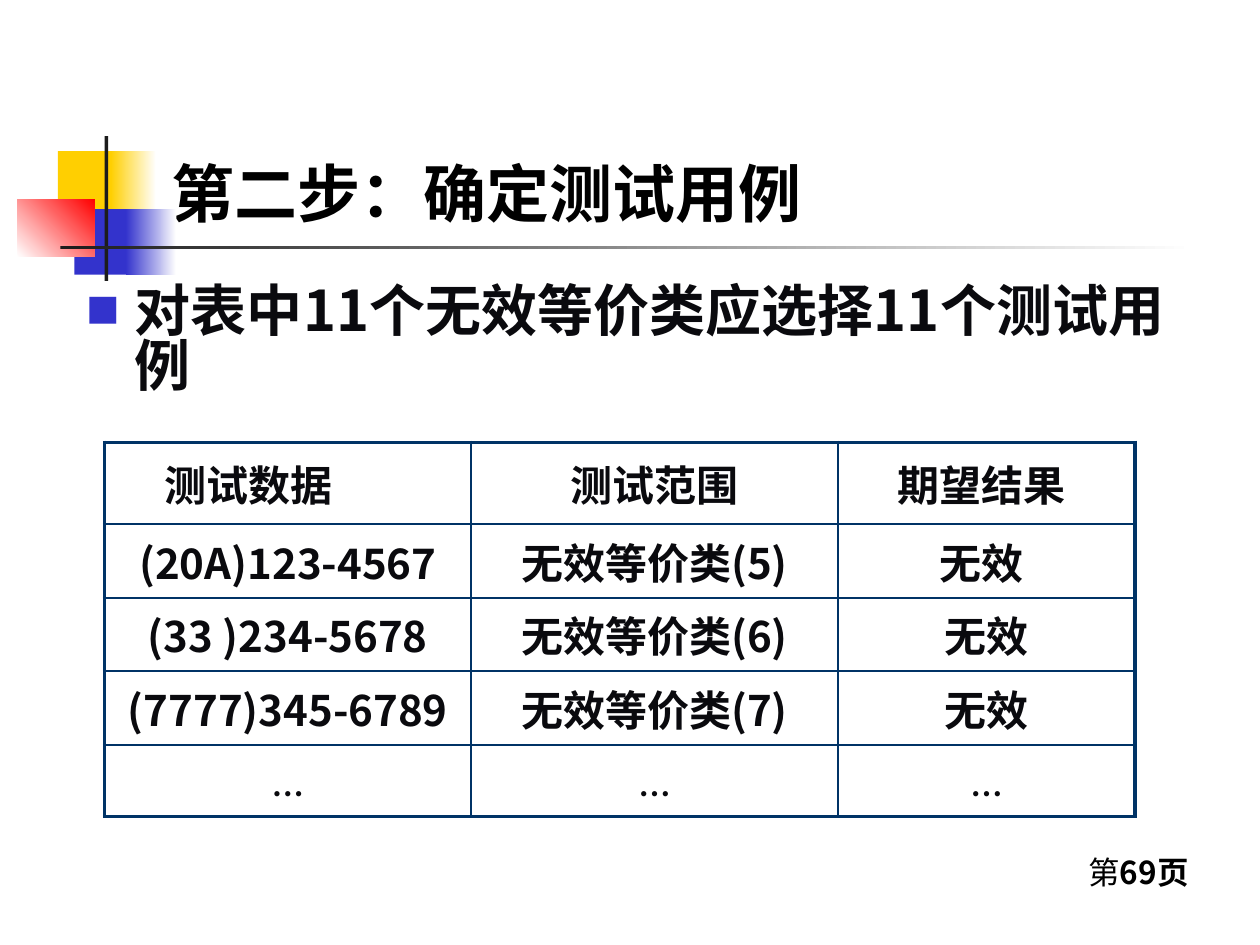
"""Build the slide on choosing test cases for the invalid equivalence classes."""
from dataclasses import dataclass
from typing import Optional

from lxml.etree import SubElement
from pptx import Presentation
from pptx.dml.color import RGBColor
from pptx.enum.shapes import MSO_SHAPE
from pptx.enum.text import MSO_ANCHOR, MSO_AUTO_SIZE, PP_ALIGN
from pptx.oxml.ns import qn
from pptx.util import Inches, Pt

COLORS = {
    "yellow": "FFCF01",
    "blue": "3333CC",
    "red": "FF0000",
    "white": "FFFFFF",
    "dark": "1C1C1C",
    "black": "000000",
    "ink": "0A0A0E",
    "navy": "003366",
}
MAIN_FONT = "Noto Sans CJK SC"
ELLIPSIS_FONT = "Lato"
ELLIPSIS = "…"
TIGHT_SPACING = 0.82
THIN, THICK = 1.5, 2.25


@dataclass
class Block:
    """A rectangle of the corner ornament, solid or fading to a second colour."""
    left: float
    top: float
    width: float
    height: float
    color: str
    fade_to: Optional[str] = None
    angle: float = 0


ORNAMENT = [
    Block(0.46, 1.2, 0.48, 0.52, "yellow"),
    Block(0.88, 1.2, 0.36, 0.52, "yellow", "white"),
    Block(0.59, 1.66, 0.46, 0.52, "blue"),
    Block(1, 1.66, 0.4, 0.52, "blue", "white"),
    Block(0.14, 1.58, 0.61, 0.46, "white", "red", 45),
    Block(0.83, 1.08, 0.03, 1.15, "dark"),
    Block(0.48, 1.95, 9, 0.03, "dark", "white"),
]
COLUMN_WIDTHS = [2.91, 2.91, 2.36]
ROW_HEIGHTS = [0.65] + [0.57] * 4
TEST_CASES = [
    ["测试数据", "测试范围", "期望结果 "],
    ["(20A)123-4567", "无效等价类(5)", "无效 "],
    ["(33 )234-5678", "无效等价类(6)", "无效"],
    ["(7777)345-6789", "无效等价类(7)", "无效"],
    [ELLIPSIS] * 3,
]


def rgb(name: str) -> RGBColor:
    """Look up a palette colour."""
    return RGBColor.from_string(COLORS[name])


def place(shape, left: float, top: float, width: float, height: float) -> None:
    """Set position and size in inches."""
    shape.left, shape.top = Inches(left), Inches(top)
    shape.width, shape.height = Inches(width), Inches(height)


def format_paragraph(paragraph, size: float, color: str, bold: Optional[bool],
                     font_name: str = MAIN_FONT) -> None:
    """Set one font for Latin and East Asian text of a paragraph."""
    font = paragraph.font
    font.size, font.bold, font.name = Pt(size), bold, font_name
    font.color.rgb = rgb(color)
    properties = paragraph._p.pPr.find(qn("a:defRPr"))
    SubElement(properties, qn("a:ea"), typeface=font_name)


def add_block(slide, block: Block) -> None:
    """Draw one ornament rectangle."""
    shape = slide.shapes.add_shape(
        MSO_SHAPE.RECTANGLE, Inches(block.left), Inches(block.top),
        Inches(block.width), Inches(block.height))
    shape.shadow.inherit = False
    shape.line.fill.background()
    if block.fade_to is None:
        shape.fill.solid()
        shape.fill.fore_color.rgb = rgb(block.color)
        return
    shape.fill.gradient()
    shape.fill.gradient_angle = block.angle
    for stop, color in zip(shape.fill.gradient_stops, (block.color, block.fade_to)):
        stop.color.rgb = rgb(color)


def fill_title(title) -> None:
    """Write the title."""
    place(title, 1.26, 0.23, 8.52, 1.6)
    frame = title.text_frame
    frame.text = "第二步：确定测试用例"
    frame.vertical_anchor = MSO_ANCHOR.BOTTOM
    frame.auto_size = MSO_AUTO_SIZE.NONE
    frame.margin_bottom = 0
    frame.paragraphs[0].alignment = PP_ALIGN.LEFT
    format_paragraph(frame.paragraphs[0], 36, "black", True)


def fill_body(body) -> None:
    """Write the bulleted statement."""
    place(body, 0.59, 2.18, 8.97, 4.5)
    frame = body.text_frame
    frame.text = "对表中11个无效等价类应选择11个测试用例"
    frame.auto_size = MSO_AUTO_SIZE.NONE
    frame.margin_top = Inches(0.1)
    paragraph = frame.paragraphs[0]
    properties = paragraph._p.get_or_add_pPr()
    properties.set("marL", str(Inches(0.38)))
    properties.set("indent", str(-Inches(0.38)))
    bullet_color = SubElement(properties, qn("a:buClr"))
    SubElement(bullet_color, qn("a:srgbClr"), val=COLORS["blue"])
    SubElement(properties, qn("a:buSzPct"), val="60000")
    SubElement(properties, qn("a:buFont"), typeface=MAIN_FONT)
    SubElement(properties, qn("a:buChar"), char="■")
    paragraph.space_before = Pt(0)
    paragraph.line_spacing = TIGHT_SPACING
    format_paragraph(paragraph, 32, "ink", True)


def add_borders(cell, widths: dict[str, float]) -> None:
    """Draw the borders of a cell, keyed by side in schema order."""
    properties = cell._tc.get_or_add_tcPr()
    for side, width in widths.items():
        line = SubElement(properties, qn(f"a:ln{side}"), w=str(Pt(width)))
        fill = SubElement(line, qn("a:solidFill"))
        SubElement(fill, qn("a:srgbClr"), val=COLORS["navy"])


def add_test_table(slide) -> None:
    """Draw the test case table with a thicker outer frame."""
    last_row, last_column = len(ROW_HEIGHTS) - 1, len(COLUMN_WIDTHS) - 1
    table = slide.shapes.add_table(
        len(ROW_HEIGHTS), len(COLUMN_WIDTHS), Inches(0.83), Inches(3.51),
        Inches(sum(COLUMN_WIDTHS)), Inches(sum(ROW_HEIGHTS))).table
    table.first_row = table.horz_banding = False
    for column, width in zip(table.columns, COLUMN_WIDTHS):
        column.width = Inches(width)
    for row, height in zip(table.rows, ROW_HEIGHTS):
        row.height = Inches(height)
    for row_index, texts in enumerate(TEST_CASES):
        for column_index, text in enumerate(texts):
            cell = table.cell(row_index, column_index)
            cell.text = text
            cell.vertical_anchor = MSO_ANCHOR.MIDDLE
            cell.margin_left = cell.margin_right = Inches(0.02)
            cell.margin_top = cell.margin_bottom = Inches(0.05)
            add_borders(cell, {
                "L": THICK if column_index == 0 else THIN,
                "R": THICK if column_index == last_column else THIN,
                "T": THICK if row_index == 0 else THIN,
                "B": THICK if row_index == last_row else THIN,
            })
            cell.fill.background()
            paragraph = cell.text_frame.paragraphs[0]
            paragraph.alignment = PP_ALIGN.CENTER
            is_ellipsis = text == ELLIPSIS
            format_paragraph(paragraph, 24, "ink", not is_ellipsis,
                             ELLIPSIS_FONT if is_ellipsis else MAIN_FONT)
    table.cell(0, 0).margin_right = Inches(0.64)


def add_page_number(slide) -> None:
    """Write the page label at the lower right."""
    box = slide.shapes.add_textbox(Inches(8.54), Inches(6.74), Inches(1.08), Inches(0.4))
    frame = box.text_frame
    frame.word_wrap = True
    frame.auto_size = MSO_AUTO_SIZE.SHAPE_TO_FIT_TEXT
    frame.margin_top = Inches(0.08)
    paragraph = frame.paragraphs[0]
    paragraph.line_spacing = TIGHT_SPACING
    for text, bold in (("第", False), ("69页", True)):
        run = paragraph.add_run()
        run.text, run.font.bold = text, bold
    format_paragraph(paragraph, 18, "black", None)


def main() -> None:
    """Build and save the presentation."""
    presentation = Presentation()
    presentation.slide_width, presentation.slide_height = Inches(10), Inches(7.5)
    slide = presentation.slides.add_slide(presentation.slide_layouts[1])
    for block in ORNAMENT:
        add_block(slide, block)
    fill_title(slide.shapes.title)
    fill_body(slide.placeholders[1])
    add_test_table(slide)
    add_page_number(slide)
    presentation.save("out.pptx")


if __name__ == "__main__":
    main()
